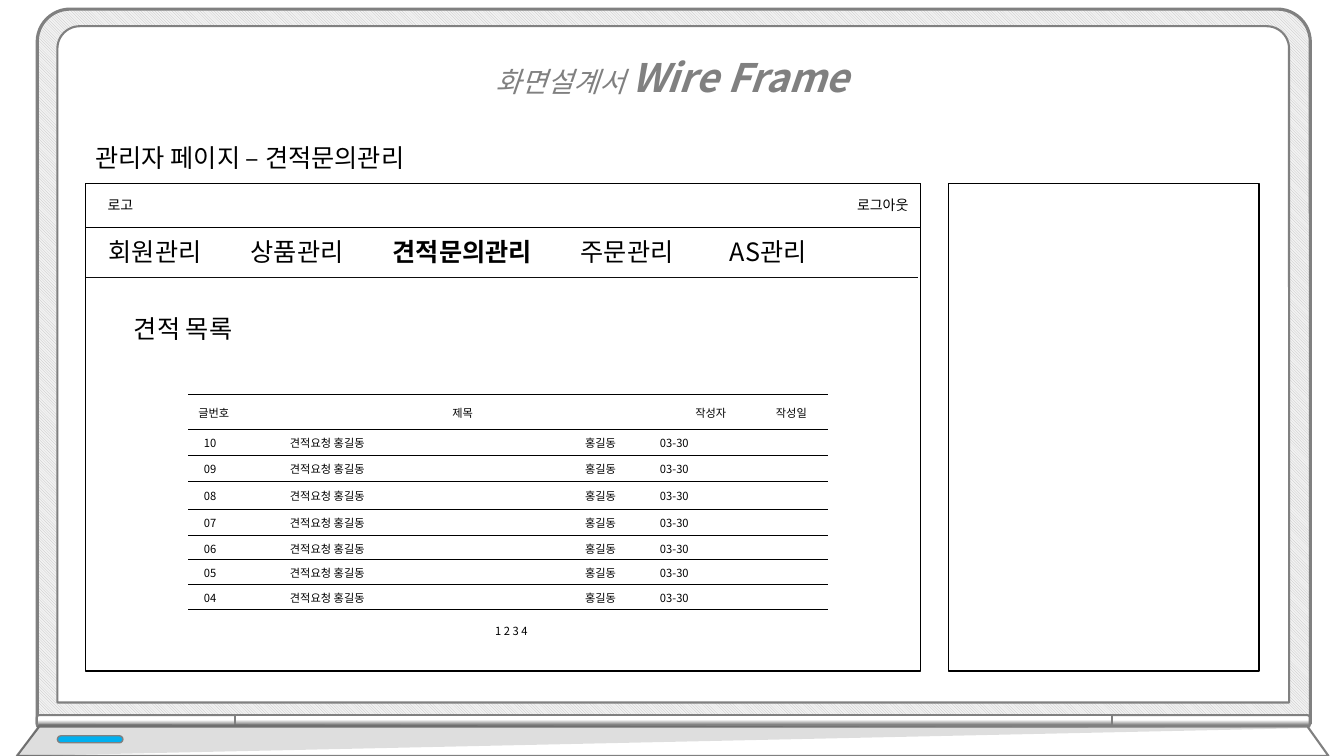
from pptx import Presentation, util as u
from pptx.dml import color as col
from pptx.enum import dml, shapes, text
from pptx.oxml import ns
from lxml import etree

Pt = u.Pt
FONT = "Noto Sans CJK KR"
HUE = {"ink": "000000", "soft": "0D0D0D", "gray": "808080", "mid": "BFBFBF",
       "pale": "F2F2F2", "white": "FFFFFF", "blue": "00B0F0"}
RGB = {name: col.RGBColor.from_string(code) for name, code in HUE.items()}
KIND = shapes.MSO_SHAPE
ALIGN = text.PP_ALIGN

deck = Presentation()
deck.slide_width, deck.slide_height = Pt(960), Pt(540)
slide = deck.slides.add_slide(deck.slide_layouts[6])
page = slide.shapes
frame = page.add_group_shape().shapes


def put(words, x, y, w, h, size=8, ink="ink", align=None, lead=None,
        tabs=(), inset=7.2, slant=None):
    box = page.add_textbox(Pt(x), Pt(y), Pt(w), Pt(h)).text_frame
    box.word_wrap = True
    box.auto_size = text.MSO_AUTO_SIZE.SHAPE_TO_FIT_TEXT
    box.margin_left = Pt(inset)
    para = box.paragraphs[0]
    para.alignment = align
    if lead:
        para.line_spacing = lead
    if tabs:
        stops = etree.SubElement(para._p.get_or_add_pPr(), ns.qn("a:tabLst"))
        for stop in tabs:
            etree.SubElement(stops, ns.qn("a:tab"), pos=str(Pt(stop)), algn="l")
    for part, points, bold in [(words, size, None)] if isinstance(words, str) else words:
        run = para.add_run()
        run.text = part
        font = run.font
        font.size, font.bold, font.italic = Pt(points), bold, slant
        font.name = FONT
        font.color.rgb = RGB[ink]
        etree.SubElement(run._r.get_or_add_rPr(), ns.qn("a:ea"), typeface=FONT)


def style(shape, fill, line, width, adjust=()):
    shape.shadow.inherit = False
    for i, value in enumerate(adjust):
        shape.adjustments[i] = value
    if fill:
        shape.fill.solid()
        shape.fill.fore_color.rgb = RGB[fill]
    if line:
        shape.line.color.rgb = RGB[line]
        shape.line.width = Pt(width)
    else:
        shape.line.fill.background()
    return shape


shell = style(frame.add_shape(KIND.ROUND_2_SAME_RECTANGLE, Pt(26.6), Pt(6.5), Pt(909.4), Pt(510.5)),
              None, "gray", 2.25, (0.046, 0))
shell.fill.patterned()
shell.fill.pattern = dml.MSO_PATTERN.LIGHT_DOWNWARD_DIAGONAL
shell.fill.fore_color.rgb = RGB["mid"]
shell.fill.back_color.rgb = RGB["pale"]
style(frame.add_shape(KIND.ROUND_2_SAME_RECTANGLE, Pt(41), Pt(18.7), Pt(879.8), Pt(483.1)),
      "white", "gray", 1.5, (0.033, 0))

for x, y, length, turn, curve in [(92.9, 444.2, 141.8, 270, 0.193),
                                  (860.4, 444.2, 141.8, 90, 0.193),
                                  (476.6, 201.6, 626.4, 270, 0)]:
    hinge = style(frame.add_shape(KIND.ROUND_2_SAME_RECTANGLE, Pt(x), Pt(y), Pt(8.6), Pt(length)),
                  None, "gray", 1.5, (curve, 0))
    hinge.rotation = turn
    if turn == 90:
        hinge._element.spPr.find(ns.qn("a:xfrm")).set("flipH", "1")
    hinge.fill.gradient()
    hinge.fill.gradient_angle = 0
    for stop, place, hue in zip(hinge.fill.gradient_stops, (0.17, 0.59), ("gray", "white")):
        stop.position = place
        stop.color.rgb = RGB[hue]

base = [(28.1, 519.1), (933.8, 519.1), (949, 540), (12.2, 540)]
shade = [(28.1, 517), (12.2, 540), (937.4, 519.8)]
for dots, fill, line in [(base, "white", "gray"), (shade, "ink", None)]:
    path = frame.build_freeform(*dots[0], scale=Pt(1))
    path.add_line_segments(dots[1:], close=True)
    part = style(path.convert_to_shape(), fill, line, 1.5)
tint = part._element.spPr.find(ns.qn("a:solidFill"))[0]
etree.SubElement(tint, ns.qn("a:alpha"), val="13000")

style(frame.add_shape(KIND.ROUNDED_RECTANGLE, Pt(41), Pt(525.6), Pt(46.8), Pt(5)),
      "blue", "gray", 1, (0.5,))

for x, w, h in [(677.5, 221.8, 348.5), (61.2, 596.2, 348.5), (61.2, 596.2, 31.7)]:
    style(page.add_shape(KIND.RECTANGLE, Pt(x), Pt(131), Pt(w), Pt(h)), "white", "ink", 1)

marks = [306.7, 325.4, 344.2, 363.6, 382.3, 399.6, 417.6, 435.6]
rules = [(61.2, 655.9, 198, "soft")]
rules += [(134.6, 591.1, y, "ink") for y in [281.5] + marks]
for left, right, y, hue in rules:
    rule = page.add_connector(shapes.MSO_CONNECTOR.STRAIGHT, Pt(left), Pt(y), Pt(right), Pt(y))
    rule.line.color.rgb = RGB[hue]
    rule.line.width = Pt(0.5)
    etree.SubElement(rule._element.spPr, ns.qn("a:effectLst"))

put([("화면설계서 ", 20, None), ("Wire Frame", 28, True)], 264.2, 18, 432, 58.3,
    ink="gray", align=ALIGN.CENTER, lead=1.5, slant=True)
put("관리자 페이지 – 견적문의관리", 61.2, 97.9, 275, 28.8, size=18)
put("로고", 69.8, 136.8, 173.5, 19.4, size=10)
put("로그아웃", 432.7, 136.8, 223.2, 19.4, size=10, align=ALIGN.RIGHT)
put([("회원관리\t상품관리\t", 18, None), ("견적문의관리", 18, True), ("\t주문관리\tAS관리", 18, None)],
    70.6, 165.6, 576, 28.8, tabs=(101.4, 202.9, 337.1, 443.6))
put("견적 목록", 88.6, 220.3, 164.9, 28.8, size=18)

for head, x in [("글번호", 134.6), ("제목", 316.1), ("작성자", 489.6), ("작성일", 547.2)]:
    put(head, x, 286.4, 43.2, 17.3)
for i, y in enumerate(marks[:-1]):
    put(f"{10 - i:02}\t견적요청 홍길동\t홍길동\t03-30", 134.6, y + 1.6, 455.8, 17.3,
        tabs=(61.4, 272.2, 325.7), inset=11.1)
put("1 2 3 4", 272.9, 442.1, 185, 17.3, align=ALIGN.CENTER)

deck.save("out.pptx")
